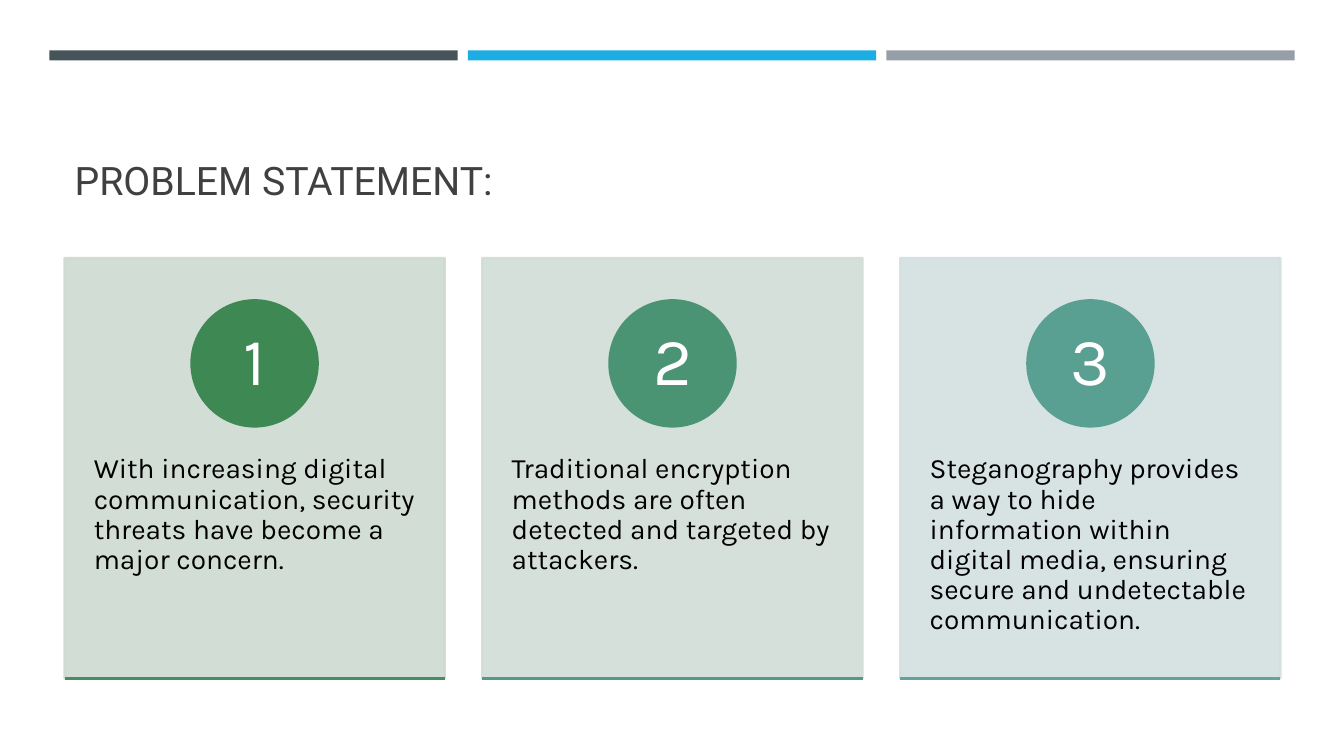
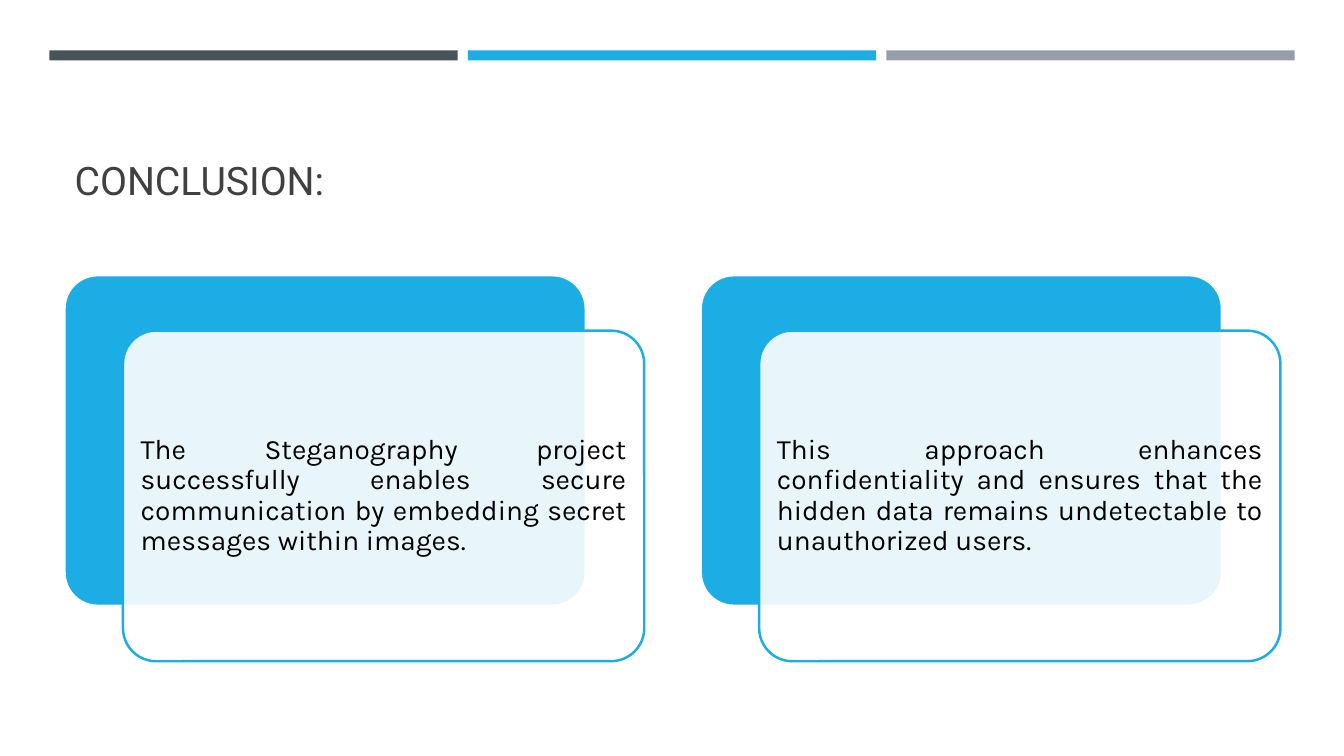
from dataclasses import dataclass

from lxml.etree import SubElement
from pptx import Presentation
from pptx.dml.color import RGBColor
from pptx.enum.shapes import MSO_CONNECTOR, MSO_SHAPE
from pptx.enum.text import MSO_ANCHOR as Anchor, MSO_AUTO_SIZE, PP_ALIGN as Align
from pptx.oxml.ns import qn
from pptx.presentation import Presentation as Deck
from pptx.shapes.autoshape import Shape
from pptx.slide import Slide
from pptx.text.text import TextFrame
from pptx.util import Inches, Pt


@dataclass(frozen=True)
class Theme:
    dark: str = "465359"
    accent: str = "1CADE4"
    grey: str = "969FA7"
    title: str = "404040"
    text: str = "000000"
    white: str = "FFFFFF"
    title_font: str = "Roboto"
    body_font: str = "Karla"
    title_size: int = 28
    body_size: int = 20
    number_size: int = 48
    outline: float = 1.75
    opacity: int = 90


@dataclass(frozen=True)
class Box:
    left: float
    top: float
    width: float
    height: float


@dataclass(frozen=True)
class Card:
    text: str
    background: str
    badge: str
    rule: str


THEME = Theme()
CONTENT_LEFT, CONTENT_WIDTH = 0.64, 12.06

CARDS = [
    Card("With increasing digital communication, security threats have become a major concern.",
         "CEDAD1", "3E8853", "448E63"),
    Card("Traditional encryption methods are often detected and targeted by attackers.",
         "D1DDD7", "4B9473", "529A83"),
    Card("Steganography provides a way to hide information within digital media, "
         "ensuring secure and undetectable communication.",
         "D3E0DF", "599F92", "62A39F"),
]

CONCLUSIONS = [
    "The Steganography project successfully enables secure communication "
    "by embedding secret messages within images.",
    "This approach enhances confidentiality and ensures that the hidden data "
    "remains undetectable to unauthorized users.",
]


# Shared helpers
def spread(count: int, width: float) -> list[float]:
    """Left edges of equal items that fill the content width."""
    pitch = (CONTENT_WIDTH - width) / (count - 1)
    return [CONTENT_LEFT + index * pitch for index in range(count)]


def add_box(slide: Slide, kind: MSO_SHAPE, box: Box, fill: str, line: str | None = None) -> Shape:
    shape = slide.shapes.add_shape(kind, Inches(box.left), Inches(box.top),
                                   Inches(box.width), Inches(box.height))
    shape.shadow.inherit = False
    shape.fill.solid()
    shape.fill.fore_color.rgb = RGBColor.from_string(fill)
    if line is None:
        shape.line.fill.background()
    else:
        shape.line.color.rgb = RGBColor.from_string(line)
        shape.line.width = Pt(THEME.outline)
    return shape


def make_translucent(shape: Shape, with_line: bool = False) -> None:
    properties = shape._element.spPr
    holders = [properties] + ([properties.find(qn("a:ln"))] if with_line else [])
    for holder in holders:
        color = holder.find(qn("a:solidFill")).find(qn("a:srgbClr"))
        SubElement(color, qn("a:alpha")).set("val", str(THEME.opacity * 1000))


def set_margins(frame: TextFrame, horizontal: float, top: float, bottom: float) -> None:
    frame.margin_left = frame.margin_right = Inches(horizontal)
    frame.margin_top, frame.margin_bottom = Inches(top), Inches(bottom)


def write(frame: TextFrame, text: str, size: int, color: str, align: Align, anchor: Anchor,
          font: str = THEME.body_font, line_spacing: float = 0.9) -> None:
    frame.word_wrap = True
    frame.auto_size = MSO_AUTO_SIZE.NONE
    frame.vertical_anchor = anchor
    paragraph = frame.paragraphs[0]
    paragraph.alignment = align
    paragraph.line_spacing = line_spacing
    run = paragraph.add_run()
    run.text = text
    run.font.name = font
    run.font.size = Pt(size)
    run.font.color.rgb = RGBColor.from_string(color)


def add_rule(slide: Slide, left: float, top: float, width: float, color: str) -> None:
    rule = slide.shapes.add_connector(MSO_CONNECTOR.STRAIGHT, Inches(left), Inches(top),
                                      Inches(left + width), Inches(top))
    rule.line.color.rgb = RGBColor.from_string(color)
    rule.line.width = Pt(THEME.outline)
    SubElement(rule._element.spPr, qn("a:effectLst"))


def add_titled_slide(presentation: Deck, title: str) -> Slide:
    slide = presentation.slides.add_slide(presentation.slide_layouts[5])
    # Top bands
    for index, color in enumerate((THEME.dark, THEME.accent, THEME.grey)):
        add_box(slide, MSO_SHAPE.RECTANGLE, Box(0.49 + index * 4.15, 0.5, 4.05, 0.1), color)
    # Title
    placeholder = slide.shapes.title
    placeholder.left, placeholder.top = Inches(CONTENT_LEFT), Inches(0.77)
    placeholder.width, placeholder.height = Inches(CONTENT_WIDTH), Inches(1.3)
    write(placeholder.text_frame, title, THEME.title_size, THEME.title, Align.LEFT,
          Anchor.BOTTOM, THEME.title_font, 1.0)
    return slide


# Slide 1: numbered cards
def add_card(slide: Slide, left: float, width: float, number: int, card: Card) -> None:
    top, height, badge_size = 2.56, 4.17, 1.25
    panel = add_box(slide, MSO_SHAPE.RECTANGLE, Box(left, top, width, height),
                    card.background, card.background)
    make_translucent(panel, with_line=True)
    set_margins(panel.text_frame, 0.29, 1.95, 0.36)
    write(panel.text_frame, card.text, THEME.body_size, THEME.text, Align.LEFT, Anchor.TOP)

    badge_left = left + (width - badge_size) / 2
    badge = add_box(slide, MSO_SHAPE.OVAL, Box(badge_left, top + 0.42, badge_size, badge_size),
                    card.badge, card.badge)
    set_margins(badge.text_frame, 0.1, 0.01, 0.01)
    write(badge.text_frame, str(number), THEME.number_size, THEME.white,
          Align.CENTER, Anchor.MIDDLE)
    add_rule(slide, left, top + height, width, card.rule)


def build_problem_slide(presentation: Deck) -> None:
    slide = add_titled_slide(presentation, "PROBLEM STATEMENT:")
    width = 3.77
    for number, (left, card) in enumerate(zip(spread(len(CARDS), width), CARDS), start=1):
        add_card(slide, left, width, number, card)


# Slide 2: overlapping rounded panels
def build_conclusion_slide(presentation: Deck) -> None:
    slide = add_titled_slide(presentation, "CONCLUSION:")
    width, height, top = 5.17, 3.28, 2.73
    shift_x, shift_y = 0.58, 0.55
    for left, text in zip(spread(len(CONCLUSIONS), width + shift_x), CONCLUSIONS):
        back = add_box(slide, MSO_SHAPE.ROUNDED_RECTANGLE, Box(left, top, width, height),
                       THEME.accent, THEME.white)
        front = add_box(slide, MSO_SHAPE.ROUNDED_RECTANGLE,
                        Box(left + shift_x, top + shift_y, width, height),
                        THEME.white, THEME.accent)
        for panel in (back, front):
            panel.adjustments[0] = 0.1
        make_translucent(front)
        set_margins(front.text_frame, 0.08, 0.08, 0.08)
        write(front.text_frame, text, THEME.body_size, THEME.text,
              Align.JUSTIFY, Anchor.MIDDLE)


def main() -> None:
    presentation = Presentation()
    presentation.slide_width, presentation.slide_height = Inches(13.33), Inches(7.5)
    build_problem_slide(presentation)
    build_conclusion_slide(presentation)
    presentation.save("out.pptx")


if __name__ == "__main__":
    main()
